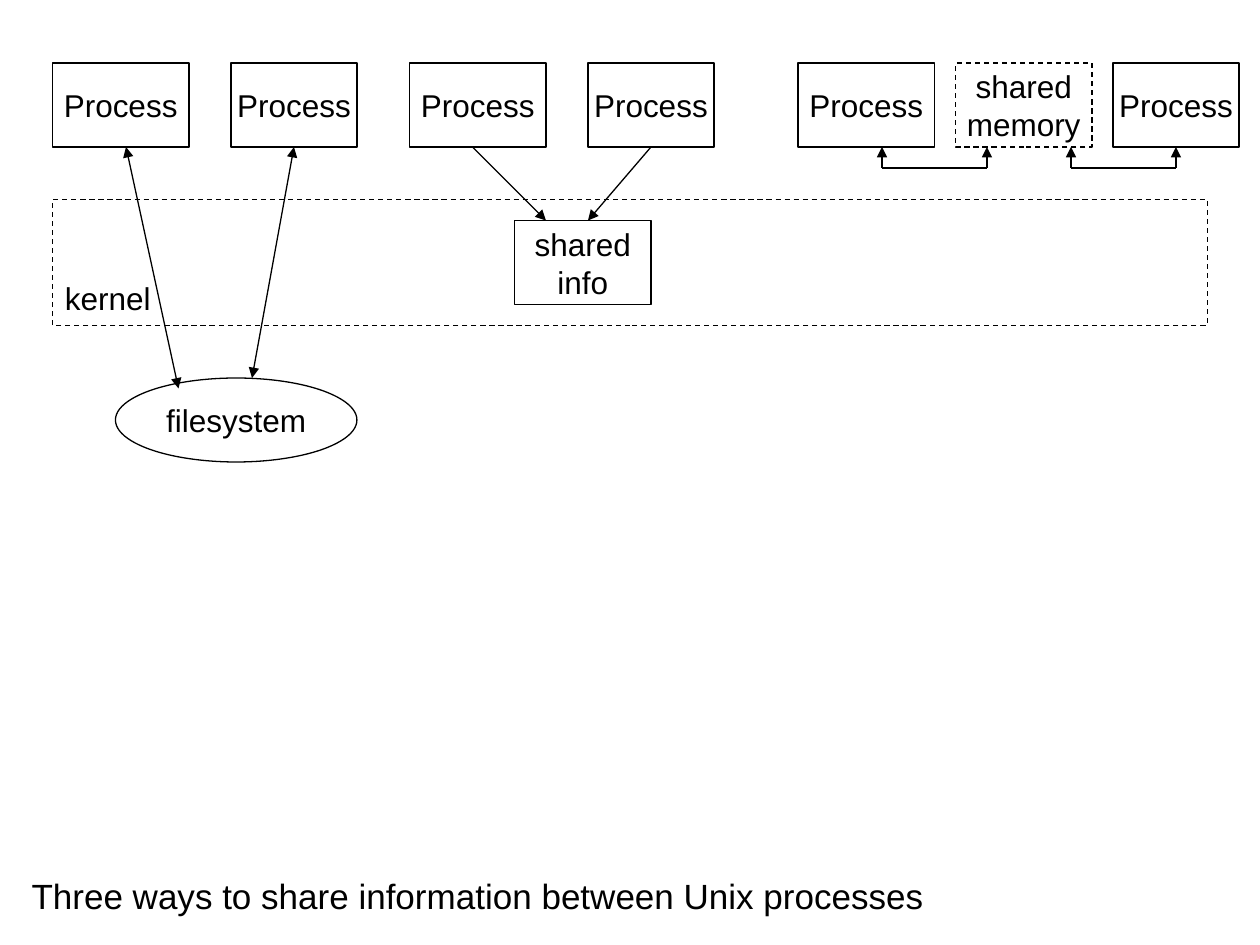
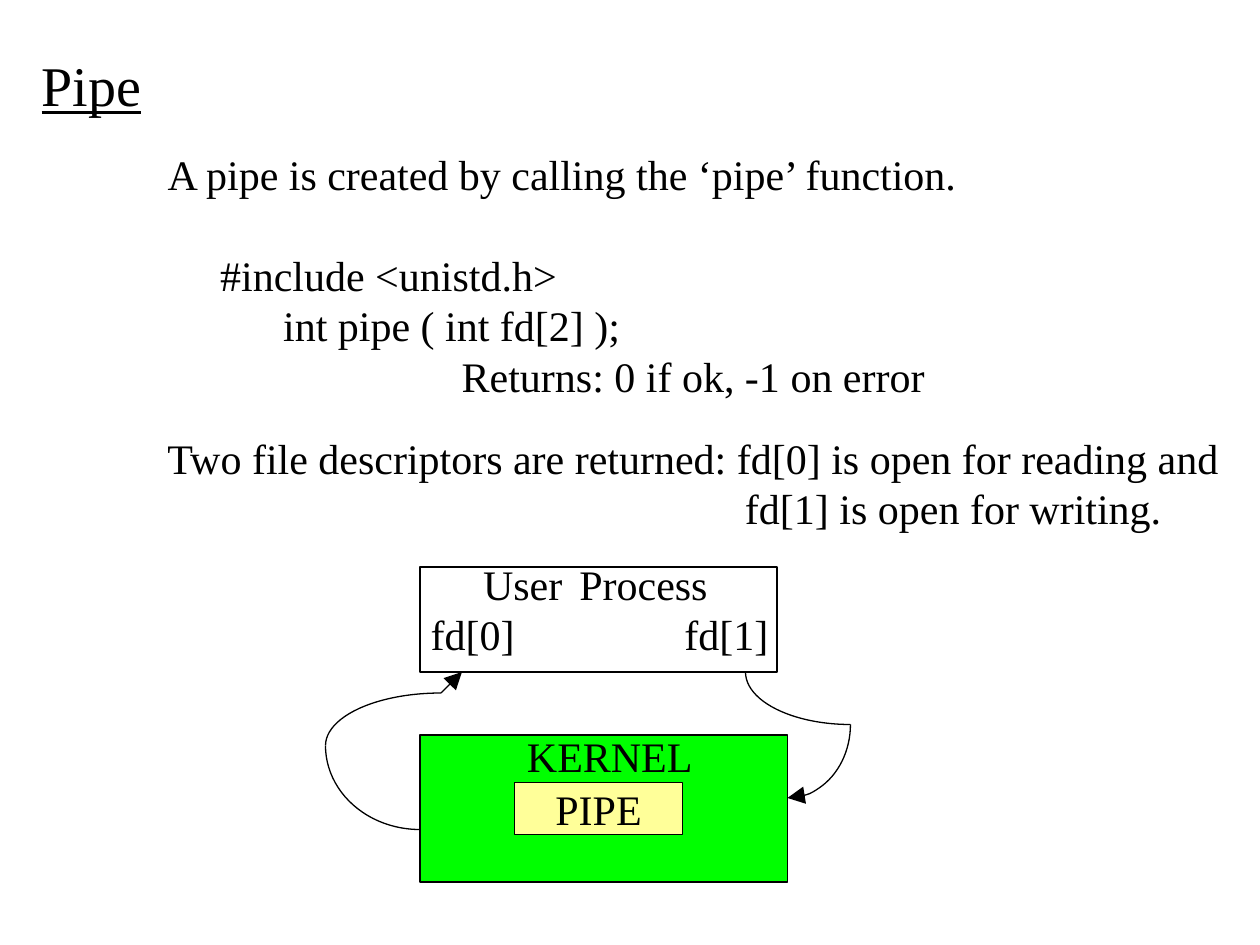
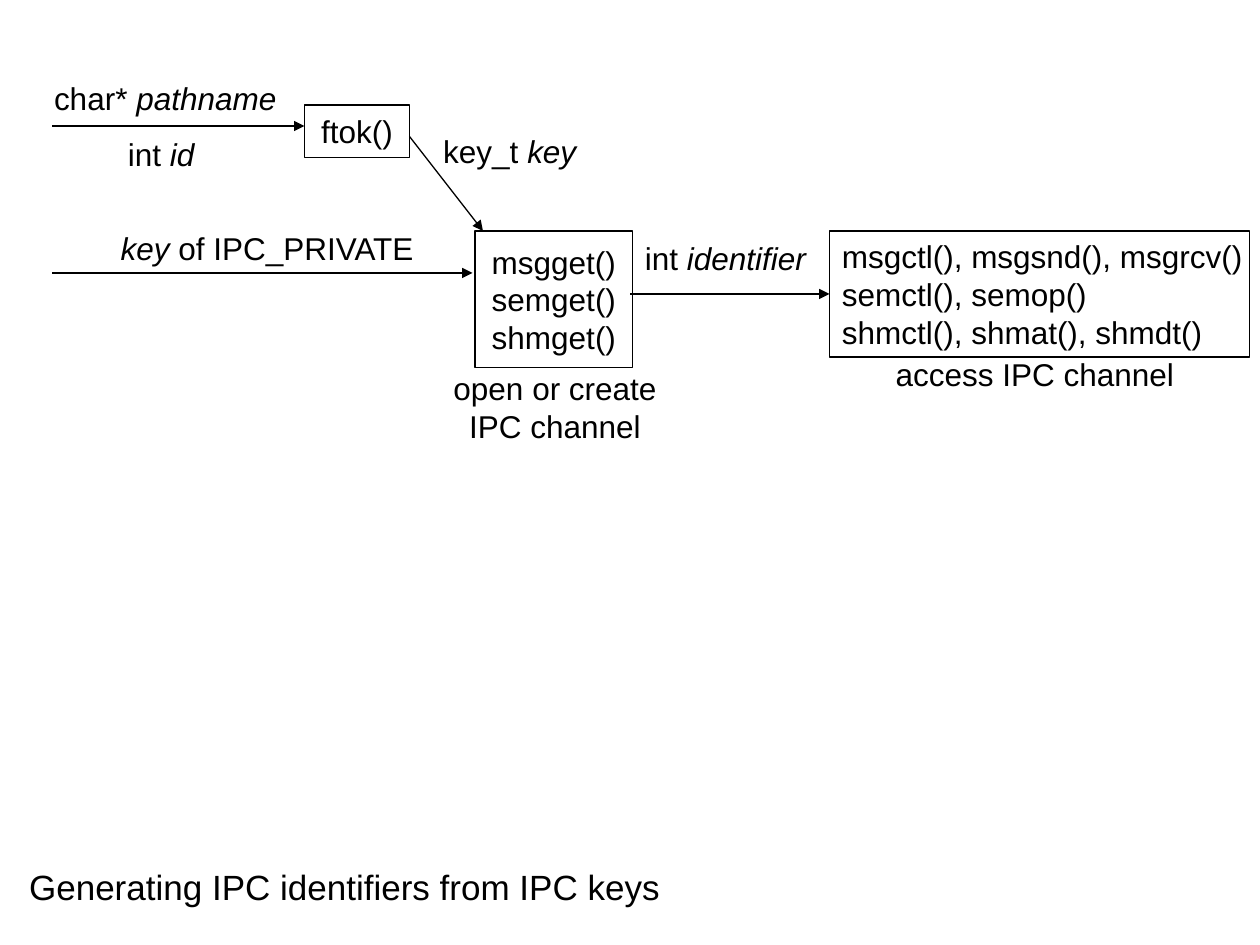
from dataclasses import dataclass

from lxml.etree import SubElement
from pptx import Presentation
from pptx.dml.color import RGBColor
from pptx.enum.dml import MSO_LINE_DASH_STYLE as Dash
from pptx.enum.shapes import MSO_CONNECTOR as Link, MSO_SHAPE as Preset
from pptx.enum.text import MSO_ANCHOR as Anchor, MSO_AUTO_SIZE as AutoSize, PP_ALIGN as Align
from pptx.oxml.ns import qn
from pptx.util import Pt

TITLE_AND_BODY, TITLE_ONLY = 1, 5
BOTTOM, LEFT = 2, 1


@dataclass(frozen=True)
class Theme:
    """Colours, type and line weights shared by the slides."""
    ink: RGBColor = RGBColor(0, 0, 0)
    paper: RGBColor = RGBColor(255, 255, 255)
    kernel: RGBColor = RGBColor(0, 255, 0)
    pipe: RGBColor = RGBColor(255, 255, 153)
    sans: str = "Arial"
    serif: str = "Times New Roman"
    diagram: int = 18
    caption: int = 20
    prose: int = 24
    heading: int = 32
    leading: float = 1.2
    stroke: float = 0.75


@dataclass(frozen=True)
class Line:
    """One paragraph; the parts between slashes are italic."""
    text: str
    indent: float = 0
    before: float = 0


THEME = Theme()


def write(frame, lines, size=THEME.diagram, font=THEME.sans, align=Align.LEFT,
          anchor=Anchor.TOP, wrap=False):
    """Fill a text frame with formatted paragraphs."""
    frame.word_wrap = wrap
    frame.auto_size = AutoSize.NONE
    frame.vertical_anchor = anchor
    for number, line in enumerate(lines):
        line = Line(line) if isinstance(line, str) else line
        paragraph = frame.add_paragraph() if number else frame.paragraphs[0]
        paragraph.alignment = align
        paragraph.line_spacing = Pt(size * THEME.leading)
        paragraph.space_before = Pt(line.before)
        properties = paragraph._p.get_or_add_pPr()
        properties.set("marL", str(Pt(line.indent)))
        properties.set("indent", "0")
        for part, words in enumerate(line.text.split("/")):
            if words:
                run = paragraph.add_run()
                run.text = words
                run.font.name, run.font.size = font, Pt(size)
                run.font.color.rgb = THEME.ink
                run.font.italic = part % 2 == 1


def place(holder, box):
    """Move a placeholder to a box given in points."""
    holder.left, holder.top, holder.width, holder.height = map(Pt, box)


def set_title(slide, text, box, size=THEME.caption, font=THEME.sans, underline=False):
    """Write the slide title into its placeholder."""
    title = slide.shapes.title
    place(title, box)
    write(title.text_frame, [text], size, font, wrap=True)
    title.text_frame.paragraphs[0].runs[0].font.underline = underline


def set_body(slide, lines, box):
    """Write unbulleted prose into the body placeholder."""
    body = slide.placeholders[1]
    place(body, box)
    write(body.text_frame, lines, THEME.prose, THEME.serif, wrap=True)
    for paragraph in body.text_frame.paragraphs:
        SubElement(paragraph._p.get_or_add_pPr(), qn("a:buNone"))


def add_label(slide, lines, box, **style):
    """Add free text."""
    label = slide.shapes.add_textbox(*map(Pt, box))
    write(label.text_frame, lines, **style)


def add_prose(slide, lines, box):
    """Add serif text that wraps."""
    add_label(slide, lines, box, size=THEME.prose, font=THEME.serif, wrap=True)


def draw_outline(line):
    """Give a line the shared colour and weight."""
    line.color.rgb = THEME.ink
    line.width = Pt(THEME.stroke)


def add_node(slide, box, lines=(), preset=Preset.RECTANGLE, fill=None, dashed=False,
             align=Align.CENTER, **style):
    """Add an outlined diagram node."""
    node = slide.shapes.add_shape(preset, *map(Pt, box))
    node.shadow.inherit = False
    if fill is None:
        node.fill.background()
    else:
        node.fill.solid()
        node.fill.fore_color.rgb = fill
    draw_outline(node.line)
    if dashed:
        node.line.dash_style = Dash.DASH
    if lines:
        write(node.text_frame, lines, align=align, anchor=Anchor.MIDDLE, **style)
    return node


def add_heads(shape, ends, size="med"):
    """Put triangles on the named ends of a line."""
    outline = shape._element.spPr.get_or_add_ln()
    for end in ends:
        SubElement(outline, qn(f"a:{end}"), type="triangle", w=size, len=size)


def add_arrow(slide, start, finish, ends=("tailEnd",), size="med"):
    """Add a straight line with arrowheads on the named ends."""
    arrow = slide.shapes.add_connector(Link.STRAIGHT, *map(Pt, (*start, *finish)))
    draw_outline(arrow.line)
    add_heads(arrow, ends, size)
    SubElement(arrow._element.spPr, qn("a:effectLst"))
    return arrow


def add_arc(slide, box, first_degree, ends=()):
    """Add a clockwise quarter of the ellipse in a box."""
    arc = add_node(slide, box, preset=Preset.ARC)
    arc.adjustments[0] = first_degree * 0.6
    arc.adjustments[1] = (first_degree + 90) * 0.6
    add_heads(arc, ends, "lg")


def build_sharing(slide):
    """Show three ways of sharing information."""
    set_title(slide, "Three ways to share information between Unix processes",
              (10.8, 496, 545, 31.7))
    top, height, bottom, rail = 36, 48, 84, 96
    add_node(slide, (30, 114, 660, 72), dashed=True)
    add_node(slide, (66, 216, 138, height), ["filesystem"], Preset.OVAL)
    right_nodes = []
    for left, offset in ((30, 102), (234, 102), (456, 180)):
        add_node(slide, (left, top, 78, height), ["Process"])
        right_nodes.append(add_node(slide, (left + offset, top, 72, height), ["Process"]))
    add_node(slide, (294, 126, 78, height), ["shared", "info"])
    add_node(slide, (546, top, 78, height), ["shared", "memory"], dashed=True)
    file_user, info_user, memory_user = right_nodes

    both = ("headEnd", "tailEnd")
    add_arrow(slide, (72, bottom), (102, 222), both)
    add_arrow(slide, (168, bottom), (144, 216), both).begin_connect(file_user, BOTTOM)
    add_arrow(slide, (270, bottom), (312, 126))
    add_arrow(slide, (372, bottom), (336, 126)).begin_connect(info_user, BOTTOM)
    for near, far in ((504, 564), (612, 672)):
        add_arrow(slide, (near, rail), (far, rail), ())
        for x in (near, far):
            riser = add_arrow(slide, (x, rail), (x, bottom))
    riser.end_connect(memory_user, BOTTOM)
    add_label(slide, ["kernel"], (30, 156, 63.4, 28.8))


def build_pipe(slide):
    """Explain the pipe call and draw its descriptors."""
    set_title(slide, "Pipe", (16.6, 25.2, 84, 46), THEME.heading, THEME.serif, True)
    set_body(slide, [
        Line("A pipe is created by calling the ‘pipe’ function."),
        Line("#include <unistd.h>", 30, 28.8),
        Line("int pipe ( int fd[2] );", 66),
        Line("Returns: 0 if ok, -1 on error", 168),
    ], (88.6, 81.4, 483, 160))
    add_prose(slide, [
        "Two file descriptors are returned: fd[0] is open for reading and",
        Line("fd[1] is open for writing.", 330),
    ], (88.6, 243.4, 630, 64.8))

    add_node(slide, (240, 324, 204, 60), fill=THEME.paper)
    add_prose(slide, [Line("User", 30), "fd[0]"], (239, 315.4, 91.4, 64.8))
    add_prose(slide, ["Process", Line("fd[1]", 60)], (324, 315.4, 122.4, 64.8))
    add_node(slide, (240, 420, 210, 84), fill=THEME.kernel)
    add_node(slide, (294, 447, 96, 30), ["PIPE"], fill=THEME.pipe,
             size=THEME.prose, font=THEME.serif)
    add_prose(slide, ["KERNEL"], (294, 414, 109.4, 36))

    add_arc(slide, (186, 378, 108, 96), 90)
    add_arrow(slide, (252, 396), (264, 384), size="lg")
    add_arc(slide, (186, 396, 132, 60), 180)
    add_arc(slide, (414, 372, 72, 84), 0, ("tailEnd",))
    add_arc(slide, (426, 354, 120, 60), 90)


def build_keys(slide):
    """Trace the way from IPC keys to identifiers."""
    set_title(slide, "Generating IPC identifiers from IPC keys", (9.4, 491, 395, 31.7))
    add_node(slide, (174, 60, 60, 30), ["ftok()"])
    add_node(slide, (271.5, 132, 90, 78), ["msgget()", "semget()", "shmget()"])
    access = add_node(slide, (474, 132, 240, 72), [
        "msgctl(), msgsnd(), msgrcv()", "semctl(), semop()", "shmctl(), shmat(), shmdt()",
    ], align=Align.LEFT)

    add_arrow(slide, (30, 72), (174, 72))
    add_arrow(slide, (234, 78), (276, 132))
    add_arrow(slide, (30, 156), (270, 156))
    add_arrow(slide, (360, 168), (474, 168)).end_connect(access, LEFT)

    for text, left, top, width in (
        ("char* /pathname/", 23.8, 41.8, 141),
        ("int /id/", 66, 73.4, 52.6),
        ("/key/ of IPC_PRIVATE", 61.9, 127.4, 184.3),
        ("int /identifier/", 361.4, 133.2, 106.6),
        ("key_t /key/", 246.2, 72, 90),
        ("access IPC channel", 504.7, 199.4, 173.5),
    ):
        add_label(slide, [text], (left, top, width, 28.8))
    add_label(slide, ["open or create", "IPC channel"], (252, 207.4, 130.3, 50.4),
              align=Align.CENTER)


def main():
    """Build the three slides and save them."""
    deck = Presentation()
    deck.slide_width, deck.slide_height = Pt(720), Pt(540)
    for build, layout in ((build_sharing, TITLE_ONLY), (build_pipe, TITLE_AND_BODY),
                          (build_keys, TITLE_ONLY)):
        build(deck.slides.add_slide(deck.slide_layouts[layout]))
    deck.save("out.pptx")


if __name__ == "__main__":
    main()
